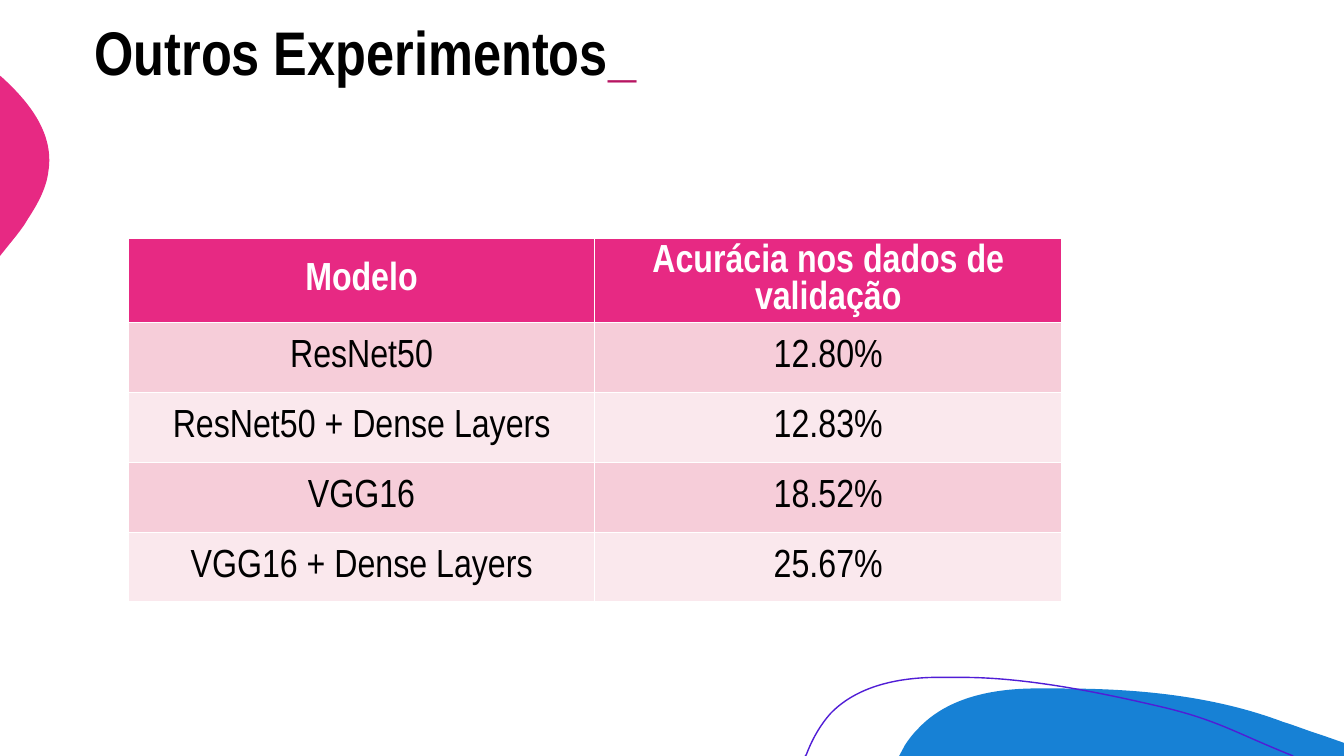
"""Build the slide "Outros Experimentos" with its table of model accuracies."""
from dataclasses import dataclass

from lxml.etree import SubElement
from pptx import Presentation
from pptx.dml.color import RGBColor
from pptx.enum.text import MSO_ANCHOR, MSO_AUTO_SIZE, PP_ALIGN
from pptx.oxml.ns import qn
from pptx.util import Cm, Pt


@dataclass(frozen=True)
class Theme:
    font: str = "Arial Narrow"
    title_size: int = 44
    table_size: int = 28
    black: str = "000000"
    white: str = "FFFFFF"
    cursor: str = "B71562"
    pink: str = "E72983"
    blue: str = "1781D5"
    violet: str = "501DD6"
    bands: tuple = ("F6CDD9", "FAE8ED")


theme = Theme()


def write_text(paragraph, text, size, color, bold=False, align=PP_ALIGN.CENTER):
    """Add a formatted run to a paragraph."""
    paragraph.alignment = align
    run = paragraph.add_run()
    run.text = text
    run.font.name = theme.font
    run.font.size = Pt(size)
    run.font.bold = bold
    run.font.color.rgb = RGBColor.from_string(color)


def draw_outline(shapes, start, segments, fill=None, line=None):
    """Draw an outline in centimetres from points and cubic curves of three points."""
    builder = shapes.build_freeform(Cm(start[0]), Cm(start[1]))
    ends = [(Cm(segment[-1][0]), Cm(segment[-1][1])) for segment in segments]
    builder.add_line_segments(ends, close=fill is not None)
    shape = builder.convert_to_shape()
    straight_parts = list(shape._element.iter(qn("a:lnTo")))
    for part, segment in zip(straight_parts, segments):
        if len(segment) == 3:
            curve = part.makeelement(qn("a:cubicBezTo"))
            for x, y in segment:
                SubElement(
                    curve, qn("a:pt"), x=str(Cm(x) - shape.left), y=str(Cm(y) - shape.top)
                )
            part.getparent().replace(part, curve)
    shape.shadow.inherit = False
    if fill:
        shape.fill.solid()
        shape.fill.fore_color.rgb = RGBColor.from_string(fill)
    else:
        shape.fill.background()
    if line:
        shape.line.color.rgb = RGBColor.from_string(line)
        shape.line.width = Pt(1)
    else:
        shape.line.fill.background()


presentation = Presentation()
presentation.slide_width = Cm(33.87)
presentation.slide_height = Cm(19.05)
slide = presentation.slides.add_slide(presentation.slide_layouts[5])

draw_outline(slide.shapes, (26.77, 17.35), [
    [(28.65, 17.35), (30.58, 17.53), (32.33, 18.19)],
    [(32.66, 18.29), (32.97, 18.42), (33.3, 18.52)],
    [(33.87, 18.72)],
    [(33.87, 19.05)],
    [(22.66, 19.05)],
    [(22.81, 18.77)],
    [(22.91, 18.62), (23.01, 18.49), (23.14, 18.36)],
    [(23.85, 17.6), (24.94, 17.37), (25.98, 17.35)],
    [(26.24, 17.35), (26.5, 17.35), (26.77, 17.35)],
], fill=theme.blue)
draw_outline(slide.shapes, (0, 1.91), [
    [(0.03, 1.93)],
    [(0.76, 2.59), (1.37, 3.38), (1.22, 4.32)],
    [(1.17, 4.75), (0.94, 5.16), (0.69, 5.54)],
    [(0.61, 5.69), (0.43, 5.92), (0.2, 6.2)],
    [(0, 6.45)],
], fill=theme.pink)
draw_outline(slide.shapes, (20.29, 19.05), [
    [(20.32, 19.02)],
    [(20.47, 18.62), (20.68, 18.26), (20.93, 17.98)],
    [(21.59, 17.3), (22.58, 17.09), (23.52, 17.07)],
    [(24.26, 17.07)],
    [(25.96, 17.07), (27.94, 17.5), (29.34, 17.83)],
    [(30.71, 18.16), (31.14, 18.47), (32.59, 19.05)],
], line=theme.violet)

title = slide.shapes.title
title.left, title.top, title.width, title.height = Cm(2.13), Cm(0), Cm(29.64), Cm(2.79)
title.text_frame.auto_size = MSO_AUTO_SIZE.NONE
title.text_frame.vertical_anchor = MSO_ANCHOR.MIDDLE
title_paragraph = title.text_frame.paragraphs[0]
title_paragraph.line_spacing = 0.9
for text, color in (("Outros Experimentos", theme.black), ("_", theme.cursor)):
    write_text(title_paragraph, text, theme.title_size, color, bold=True, align=PP_ALIGN.LEFT)

rows = [
    ("Modelo", "Acurácia nos dados de validação"),
    ("ResNet50", "12.80%"),
    ("ResNet50 + Dense Layers", "12.83%"),
    ("VGG16", "18.52%"),
    ("VGG16 + Dense Layers", "25.67%"),
]
column_width, row_height = 11.76, 1.76
table = slide.shapes.add_table(
    len(rows), 2, Cm(3.23), Cm(6.02), Cm(2 * column_width), Cm(len(rows) * row_height)
).table
for column in table.columns:
    column.width = Cm(column_width)

for row_index, row in enumerate(rows):
    table.rows[row_index].height = Cm(row_height)
    header = row_index == 0
    fill = theme.pink if header else theme.bands[(row_index - 1) % 2]
    text_color = theme.white if header else theme.black
    for column_index, text in enumerate(row):
        cell = table.cell(row_index, column_index)
        cell.vertical_anchor = MSO_ANCHOR.MIDDLE
        cell.fill.solid()
        cell.fill.fore_color.rgb = RGBColor.from_string(fill)
        write_text(cell.text_frame.paragraphs[0], text, theme.table_size, text_color, bold=header)

presentation.save("out.pptx")
